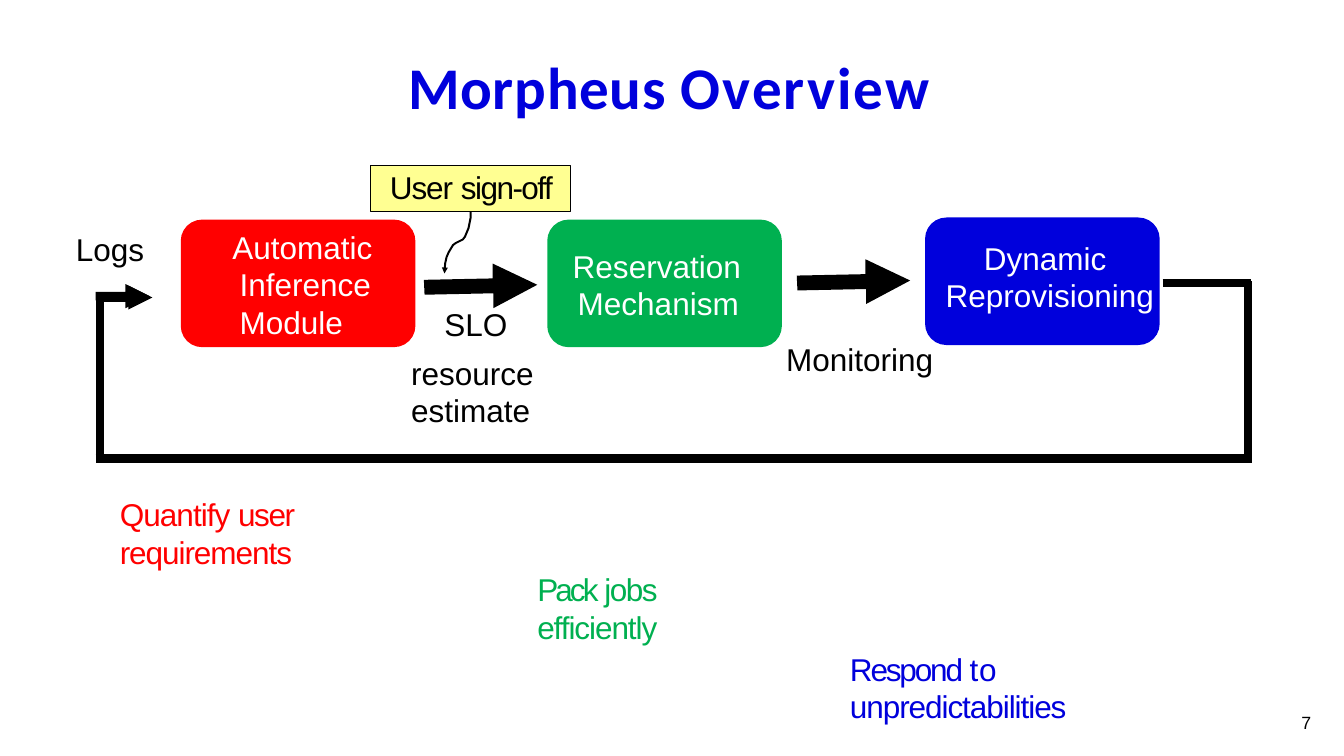
from pptx import Presentation
from pptx import util as u
from pptx.dml.color import RGBColor
from pptx.enum import shapes, text
from pptx.oxml import parse_xml
from pptx.oxml.ns import nsdecls

# Content: positions are columns and rows of a grid with one-inch cells
COLUMNS, ROWS = 18.96, 10.67
CELL = u.Inches(1)
COLORS = {"blue": "0000DC", "red": "FF0000", "green": "00B050",
          "yellow": "FFFF92", "black": "000000", "white": "FFFFFF"}

TITLE = ((5.75, 0.7, 7.46, 1.03), [("Morpheus ", 0.7), ("Overview", 2.1)])

# Labels: place, colour, right inset, runs as (words, letter spacing in points)
LABELS = [
    ((11.98, 9.16, 5.29, 0.56), "blue", 0.4,
     [("Respond ", -2.2), ("to ", 0.8), ("unpredictabilities", -1.1)]),
    ((1.68, 6.98, 5.02, 0.56), "red", 0.4,
     [("Quantify ", -1), ("user ", -1.5), ("requirements", -1.1)]),
    ((7.57, 8.04, 3.54, 0.56), "green", 0.4,
     [("Pack ", -3), ("jobs ", -1.5), ("efficiently", -1.1)]),
    ((11.08, 4.79, 2.12, 0.55), "black", 0, [("Monitoring", 0)]),
    ((1.06, 3.24, 1.06, 0.55), "black", 0, [("Logs", 0)]),
    ((6.26, 4.29, 1.1, 0.55), "black", 0, [("SLO", 0)]),
    ((5.79, 4.98, 3.28, 1.09), "black", 0, [("resource estimate", 0)]),
]

SIGN_OFF = ((5.23, 2.33, 2.82, 0.65), [("User ", -1.1), ("sign-off", -1.6)])

# Stages: left and top of the box, colour, caption, caption place,
# left margin and first-line indent, alignment
STAGE_SIZE = (3.31, 1.8)
STAGES = [
    ((2.55, 3.1), "red", "Automatic Inference Module",
     (3.26, 3.18, 2.4, 1.64), (0.12, -0.1), text.PP_ALIGN.JUSTIFY),
    ((7.72, 3.1), "green", "Reservation Mechanism",
     (8.07, 3.45, 2.6, 1.1), (0.08, -0.07), text.PP_ALIGN.LEFT),
    ((13.05, 3.07), "blue", "Dynamic Reprovisioning",
     (13.33, 3.34, 3.21, 1.1), (0.01, 0.54), text.PP_ALIGN.LEFT),
]

# Feedback loop: start, end, width in points
LOOP_LINES = [
    ((17.6, 6.41), (17.6, 6.54), 9.3),
    ((1.35, 6.47), (17.54, 6.47), 9.3),
    ((1.41, 6.42), (1.41, 4.12), 8.25),
    ((16.4, 4), (17.65, 4), 8.25),
    ((17.6, 6.48), (17.6, 3.96), 8.25),
]
LOG_ARROWS = [(1.35, 4.01), (1.39, 4.03)]
LOG_ARROW_SIZE = (0.76, 0.34)

# Tilted block arrows share one outline
STAGE_ARROWS = [(5.98, 3.72), (11.24, 3.66)]
ARROW_OUTLINE = [(0.97, 0), (0.97, 0.21), (0, 0.23), (0.01, 0.44),
                 (0.98, 0.42), (0.98, 0.63), (1.6, 0.3)]
SIGN_OFF_CURVE = [(6.64, 2.98), (6.64, 3.07), (6.61, 3.22), (6.56, 3.34),
                  (6.53, 3.38), (6.43, 3.43), (6.39, 3.46), (6.33, 3.56),
                  (6.3, 3.63), (6.28, 3.72), (6.27, 3.86)]
PAGE_NUMBER = ((18.33, 10.09, 0.33, 0.28), [("7", -0.1)])


def cells(values):
    return [round(value * CELL) for value in values]


def rgb(color):
    return RGBColor.from_string(COLORS[color])


def write(shape, runs, color, size=32, font="Arial", bold=False, inset=0.01,
          right=0, indent=(0.01, 0), before=1, line=None,
          align=text.PP_ALIGN.LEFT):
    frame = shape.text_frame
    frame.word_wrap = True
    frame.auto_size = text.MSO_AUTO_SIZE.SHAPE_TO_FIT_TEXT
    frame.vertical_anchor = text.MSO_ANCHOR.TOP
    frame.margin_left = frame.margin_bottom = 0
    frame.margin_top = u.Inches(inset)
    frame.margin_right = u.Inches(right)
    paragraph = frame.paragraphs[0]
    paragraph.alignment = align
    paragraph.space_before = u.Pt(before)
    if line:
        paragraph.line_spacing = u.Pt(line)
    properties = paragraph._p.get_or_add_pPr()
    for name, value in zip(("marL", "indent"), cells(indent)):
        properties.set(name, str(value))
    for words, spacing in runs:
        run = paragraph.add_run()
        run.text = words
        run.font.size = u.Pt(size)
        run.font.name = font
        run.font.bold = bold
        run.font.color.rgb = rgb(color)
        if spacing:
            run._r.get_or_add_rPr().set("spc", str(round(spacing * 100)))


def paint(shape, color):
    shape.shadow.inherit = False
    shape.fill.solid()
    shape.fill.fore_color.rgb = rgb(color)
    shape.line.fill.background()
    return shape


def add_preset(slide, kind, place, color):
    return paint(slide.shapes.add_shape(kind, *cells(place)), color)


def add_outline(slide, points, closed):
    start, *others = [cells(point) for point in points]
    builder = slide.shapes.build_freeform(*start)
    builder.add_line_segments(others, close=closed)
    return paint(builder.convert_to_shape(), "black")


def add_label(slide, place, runs, color, **style):
    write(slide.shapes.add_textbox(*cells(place)), runs, color, **style)


def main():
    presentation = Presentation()
    presentation.slide_width, presentation.slide_height = cells((COLUMNS, ROWS))
    slide = presentation.slides.add_slide(presentation.slide_layouts[5])

    # Title
    place, runs = TITLE
    title = slide.shapes.title
    title.left, title.top, title.width, title.height = cells(place)
    write(title, runs, "blue", size=60, font="Calibri", bold=True)

    # Labels and the sign-off note
    for place, color, right, runs in LABELS:
        add_label(slide, place, runs, color, right=right)
    place, runs = SIGN_OFF
    note = add_preset(slide, shapes.MSO_SHAPE.RECTANGLE, place, "yellow")
    note.line.color.rgb = rgb("black")
    note.line.width = u.Pt(1)
    write(note, runs, "black", inset=0.04, indent=(0.27, 0), before=3.2)

    # Feedback loop
    for start, end, width in LOOP_LINES:
        line = slide.shapes.add_connector(shapes.MSO_CONNECTOR.STRAIGHT,
                                          *cells(start + end))
        line.line.color.rgb = rgb("black")
        line.line.width = u.Pt(width)
        line._element.spPr.append(parse_xml(f"<a:effectLst {nsdecls('a')}/>"))
    for corner in LOG_ARROWS:
        arrow = add_preset(slide, shapes.MSO_SHAPE.RIGHT_ARROW,
                           corner + LOG_ARROW_SIZE, "black")
        arrow.adjustments[0], arrow.adjustments[1] = 0.35, 1

    # Stages and the arrows between them
    for corner, color, caption, place, indent, align in STAGES:
        add_preset(slide, shapes.MSO_SHAPE.ROUNDED_RECTANGLE,
                   corner + STAGE_SIZE, color)
        add_label(slide, place, [(caption, 0)], "white", inset=0.04,
                  indent=indent, before=2.6, line=38, align=align)
    for left, top in STAGE_ARROWS:
        add_outline(slide, [(left + x, top + y) for x, y in ARROW_OUTLINE], True)

    # Curved pointer from the sign-off note
    curve = add_outline(slide, SIGN_OFF_CURVE, False)
    curve.fill.background()
    curve.line.color.rgb = rgb("black")
    curve.line.width = u.Pt(2)
    curve.line._get_or_add_ln().append(parse_xml(
        f'<a:tailEnd {nsdecls("a")} type="triangle" w="med" len="med"/>'))

    # Page number
    place, runs = PAGE_NUMBER
    add_label(slide, place, runs, "black", size=18, inset=0,
              indent=(0.03, 0), before=0, line=18.4)

    presentation.save("out.pptx")


if __name__ == "__main__":
    main()
